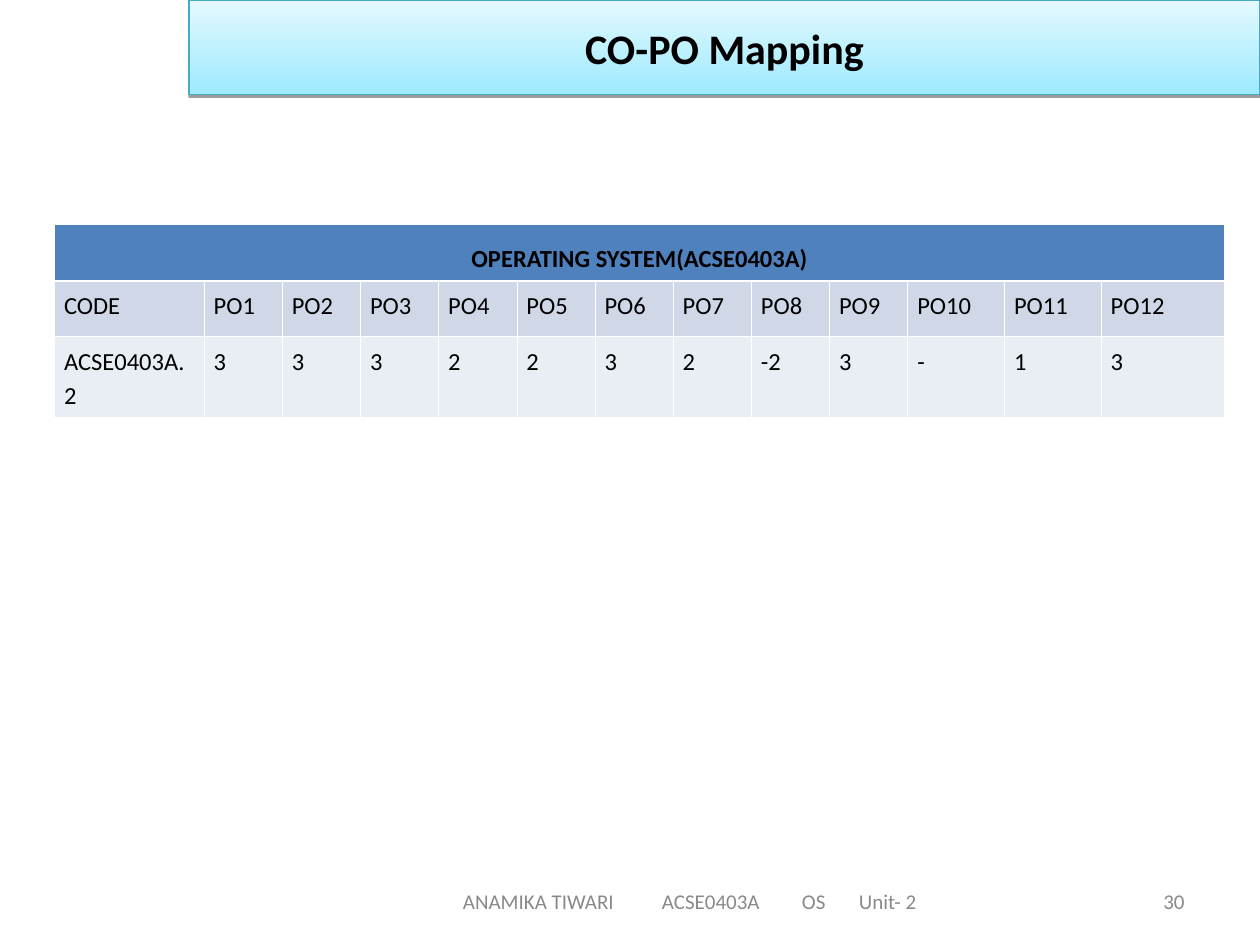
from lxml import etree
from pptx import Presentation
from pptx.dml.color import RGBColor
from pptx.enum.shapes import MSO_SHAPE
from pptx.enum.text import MSO_ANCHOR, PP_ALIGN
from pptx.oxml import parse_xml
from pptx.oxml.ns import nsdecls, qn
from pptx.util import Pt

LEFT, CENTER, RIGHT = PP_ALIGN.LEFT, PP_ALIGN.CENTER, PP_ALIGN.RIGHT
TOP, MIDDLE, BOTTOM = MSO_ANCHOR.TOP, MSO_ANCHOR.MIDDLE, MSO_ANCHOR.BOTTOM
RECTANGLE = MSO_SHAPE.RECTANGLE

FONT = "Calibri"
BLACK, WHITE, GREY = "000000", "FFFFFF", "898989"
THIN, THICK = 0.45, 1.47

COLUMN_WIDTHS = [85.5] + [44.7] * 9 + [55.3] * 2 + [70.4]
ROW_HEIGHTS = [32, 32, 38.9]
COURSE = "OPERATING SYSTEM(ACSE0403A)"
OUTCOMES = ["CODE"] + [f"PO{number}" for number in range(1, 13)]
LEVELS = ["ACSE0403A.2", "3", "3", "3", "2", "2", "3", "2", "-2", "3", "-", "1", "3"]


def color(hex_string):
    return RGBColor.from_string(hex_string)


def write(paragraph, text, size, ink, align=LEFT, bold=False):
    paragraph.alignment = align
    run = paragraph.add_run()
    run.text = text
    run.font.name = FONT
    run.font.size = Pt(size)
    run.font.bold = bold
    run.font.color.rgb = color(ink)


def add_title_bar(slide, title):
    bar = slide.shapes.add_shape(RECTANGLE, Pt(108), Pt(0), Pt(612), Pt(54))
    bar.fill.gradient()
    bar.fill.gradient_angle = 90
    for stop, tint in zip(bar.fill.gradient_stops, ("9EEAFF", "E4F9FF")):
        stop.color.rgb = color(tint)
    bar.line.color.rgb = color("46AAC5")
    bar.line.width = Pt(0.75)

    # Thin shadow straight below the bar
    bar.shadow.inherit = False
    effects = bar.element.spPr.find(qn("a:effectLst"))
    effects.append(parse_xml(
        f'<a:outerShdw {nsdecls("a")} blurRad="0" dist="{Pt(1.6)}" dir="5400000" rotWithShape="0">'
        f'<a:srgbClr val="{BLACK}"><a:alpha val="38000"/></a:srgbClr></a:outerShdw>'))

    bar.text_frame.vertical_anchor = MIDDLE
    write(bar.text_frame.paragraphs[0], title, 24, BLACK, CENTER, bold=True)


def set_borders(cell, top, bottom):
    properties = cell._tc.get_or_add_tcPr()
    for side, width in (("L", THIN), ("R", THIN), ("T", top), ("B", bottom)):
        line = etree.SubElement(properties, qn(f"a:ln{side}"), w=str(Pt(width)))
        fill = etree.SubElement(line, qn("a:solidFill"))
        etree.SubElement(fill, qn("a:srgbClr"), val=WHITE)


def fill_cell(cell, text, fill, anchor=TOP, align=LEFT, bold=False, space_after=10):
    cell.fill.solid()
    cell.fill.fore_color.rgb = color(fill)
    cell.vertical_anchor = anchor
    cell.margin_left = cell.margin_right = Pt(5.4)
    cell.margin_top = cell.margin_bottom = Pt(3.6)
    paragraph = cell.text_frame.paragraphs[0]
    paragraph.line_spacing = 1.15
    paragraph.space_after = Pt(space_after)
    write(paragraph, text, 14, BLACK, align, bold)


def add_mapping_table(slide):
    table = slide.shapes.add_table(
        len(ROW_HEIGHTS), len(COLUMN_WIDTHS), Pt(31.2), Pt(128.4),
        Pt(sum(COLUMN_WIDTHS)), Pt(sum(ROW_HEIGHTS))).table
    for column, width in zip(table.columns, COLUMN_WIDTHS):
        column.width = Pt(width)
    for row, height in zip(table.rows, ROW_HEIGHTS):
        row.height = Pt(height)

    # Heavier rule between the heading and the outcomes
    rules = [THIN, THICK, THIN, THIN]
    for index, row in enumerate(table.rows):
        for cell in row.cells:
            set_borders(cell, rules[index], rules[index + 1])

    heading = table.cell(0, 0)
    heading.merge(table.cell(0, len(COLUMN_WIDTHS) - 1))
    fill_cell(heading, COURSE, "4F81BD", BOTTOM, CENTER, bold=True, space_after=0)
    for index, texts, fill in ((1, OUTCOMES, "D0D8E8"), (2, LEVELS, "E9EDF4")):
        for cell, text in zip(table.rows[index].cells, texts):
            fill_cell(cell, text, fill)


def add_footer_text(slide, left, width, text, align=LEFT, inset=7.2, tabs=()):
    box = slide.shapes.add_textbox(Pt(left), Pt(500.5), Pt(width), Pt(28.75))
    frame = box.text_frame
    frame.word_wrap = True
    frame.vertical_anchor = MIDDLE
    frame.margin_left = Pt(inset)
    paragraph = frame.paragraphs[0]
    if tabs:
        tab_list = etree.SubElement(paragraph._p.get_or_add_pPr(), qn("a:tabLst"))
        for position in tabs:
            etree.SubElement(tab_list, qn("a:tab"), pos=str(Pt(position)), algn="l")
    write(paragraph, text, 12, GREY, align)


def main():
    presentation = Presentation()
    presentation.slide_width, presentation.slide_height = Pt(720), Pt(540)
    slide = presentation.slides.add_slide(presentation.slide_layouts[6])

    # Course outcome table
    add_mapping_table(slide)

    # Footer and slide number
    add_footer_text(slide, 198, 396, "ANAMIKA TIWARI\tACSE0403A\tOS\tUnit- 2",
                    inset=66.6, tabs=(113.7, 193.7, 226.2))
    add_footer_text(slide, 516, 168, "30", RIGHT)

    # Title
    add_title_bar(slide, "CO-PO Mapping")

    presentation.save("out.pptx")


if __name__ == "__main__":
    main()
